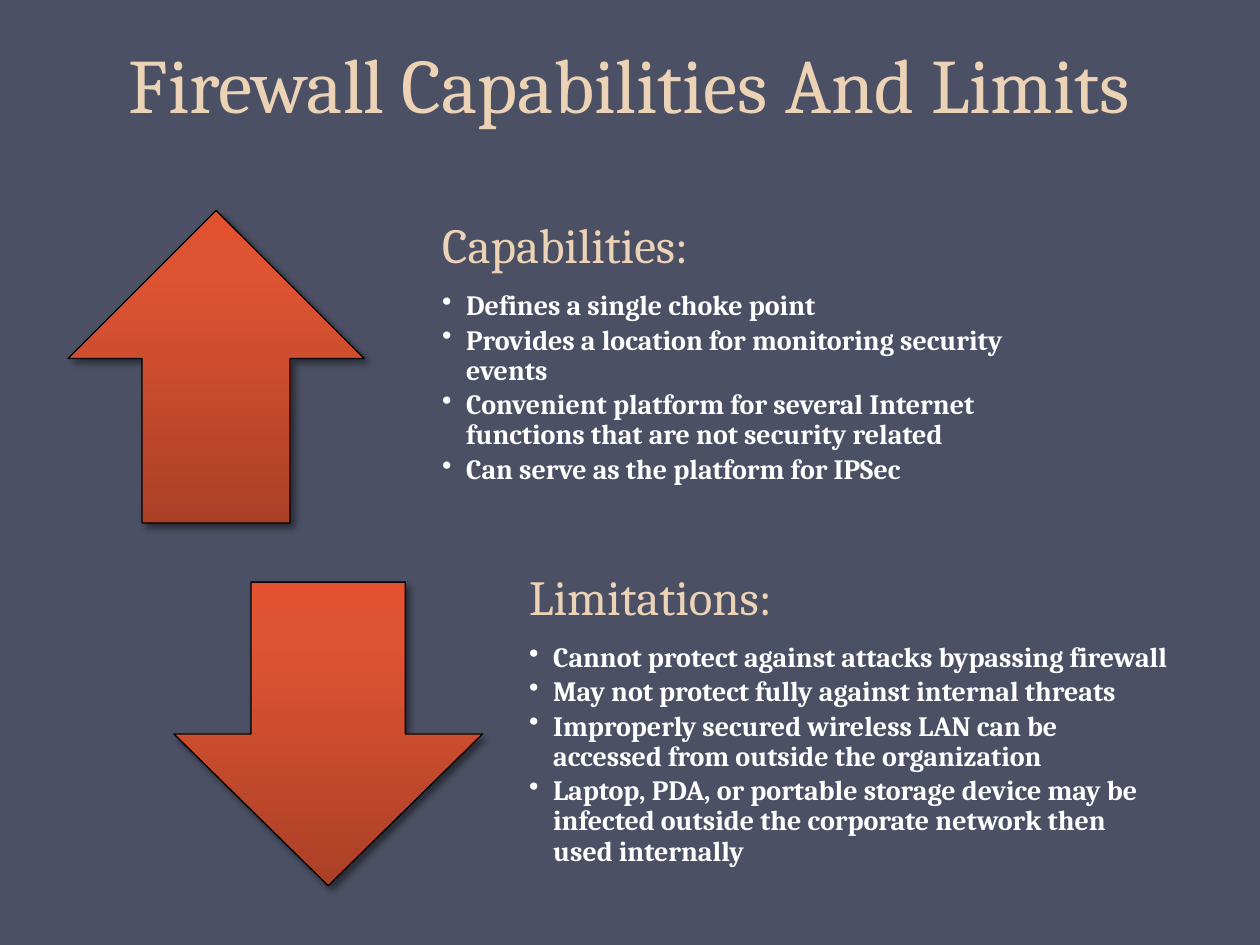
from dataclasses import dataclass

from lxml import etree
from pptx import Presentation
from pptx.dml.color import RGBColor
from pptx.enum.shapes import MSO_SHAPE
from pptx.enum.text import MSO_ANCHOR, MSO_AUTO_SIZE, PP_ALIGN
from pptx.oxml.ns import qn
from pptx.util import Inches, Pt

UP, DOWN = MSO_SHAPE.UP_ARROW, MSO_SHAPE.DOWN_ARROW
MIDDLE, BOTTOM = MSO_ANCHOR.MIDDLE, MSO_ANCHOR.BOTTOM
CENTER, LEFT = PP_ALIGN.CENTER, PP_ALIGN.LEFT
FIXED = MSO_AUTO_SIZE.NONE


@dataclass(frozen=True)
class Theme:
    font: str = "Cambria"
    back: str = "4B5064"
    sand: str = "EDD3B6"
    white: str = "FFFFFF"
    black: str = "000000"
    flame: tuple = ((0, "AB4027"), (80, "DE5433"), (100, "E35230"))
    title: int = 44
    head: int = 28
    body: int = 16


def apply(target, values):
    for name, value in values.items():
        setattr(target, name, value)


def add(parent, tag, **values):
    node = etree.SubElement(parent, qn(tag))
    for name, value in values.items():
        node.set(name, str(value))
    return node


class Deck:
    """Builds styled elements on the current slide."""

    def __init__(self, theme):
        self.theme = theme
        self.prs = Presentation()
        apply(self.prs, {"slide_width": Inches(10), "slide_height": Inches(7.5)})
        self.slide = self.prs.slides.add_slide(self.prs.slide_layouts[5])
        fill = self.slide.background.fill
        fill.solid()
        fill.fore_color.rgb = RGBColor.from_string(theme.back)

    def label(self, para, text, size, color, bold=False, **layout):
        run = para.add_run()
        run.text = text
        apply(run.font, {"name": self.theme.font, "size": Pt(size), "bold": bold})
        run.font.color.rgb = RGBColor.from_string(color)
        apply(para, layout)

    def title(self, text, box):
        shape = self.slide.shapes.title
        apply(shape, dict(zip(("left", "top", "width", "height"), map(Inches, box))))
        frame = shape.text_frame
        apply(frame, {"vertical_anchor": BOTTOM, "word_wrap": True, "auto_size": FIXED})
        self.label(frame.paragraphs[0], text, self.theme.title, self.theme.sand,
                   alignment=CENTER, line_spacing=Pt(58))

    def arrow(self, kind, box):
        shape = self.slide.shapes.add_shape(kind, *map(Inches, box))
        shape.fill.gradient()
        shape.fill.gradient_angle = 90
        props = shape._element.spPr
        stops = props.find(qn("a:gradFill")).find(qn("a:gsLst"))
        for stop in list(stops):
            stops.remove(stop)
        for place, color in self.theme.flame:
            stop = add(stops, "a:gs", pos=place * 1000)
            add(stop, "a:srgbClr", val=color)
        shape.line.color.rgb = RGBColor.from_string(self.theme.black)
        shape.line.width = Pt(0.75)
        shape.shadow.inherit = False
        shade = add(props.find(qn("a:effectLst")), "a:outerShdw", blurRad=Pt(4),
                    dist=Pt(3), dir=45 * 60000, algn="ctr", rotWithShape=0)
        color = add(shade, "a:srgbClr", val=self.theme.black)
        add(color, "a:alpha", val=43000)

    def points(self, head, items, box):
        frame = self.slide.shapes.add_textbox(*map(Inches, box)).text_frame
        inset = Inches(0.22)
        apply(frame, {"word_wrap": True, "auto_size": FIXED, "vertical_anchor": MIDDLE,
                      "margin_left": inset, "margin_top": 0,
                      "margin_right": inset, "margin_bottom": inset})
        theme = self.theme
        self.label(frame.paragraphs[0], head, theme.head, theme.sand,
                   alignment=LEFT, line_spacing=0.9, space_after=Pt(0.35 * theme.head))
        for item in items:
            para = frame.add_paragraph()
            props = para._p.get_or_add_pPr()
            props.set("marL", str(Inches(0.19)))
            props.set("indent", str(-Inches(0.19)))
            add(props, "a:buChar", char="•")
            self.label(para, item, theme.body, theme.white, True, level=1,
                       alignment=LEFT, line_spacing=0.9,
                       space_after=Pt(0.15 * theme.body))


def main():
    deck = Deck(Theme())
    deck.title("Firewall Capabilities And Limits", (0.5, 0, 9, 1.07))
    deck.arrow(UP, (0.54, 1.67, 2.35, 2.48))
    deck.points("Capabilities:", (
        "Defines a single choke point",
        "Provides a location for monitoring security events",
        "Convenient platform for several Internet functions that are not security related",
        "Can serve as the platform for IPSec",
    ), (3.29, 1.57, 5.04, 2.69))
    deck.arrow(DOWN, (1.38, 4.62, 2.45, 2.41))
    deck.points("Limitations:", (
        "Cannot protect against attacks bypassing firewall",
        "May not protect fully against internal threats",
        "Improperly secured wireless LAN can be accessed from outside the organization",
        "Laptop, PDA, or portable storage device may be infected outside the "
        "corporate network then used internally",
    ), (3.98, 4.23, 5.52, 3.19))
    deck.prs.save("out.pptx")


if __name__ == "__main__":
    main()
